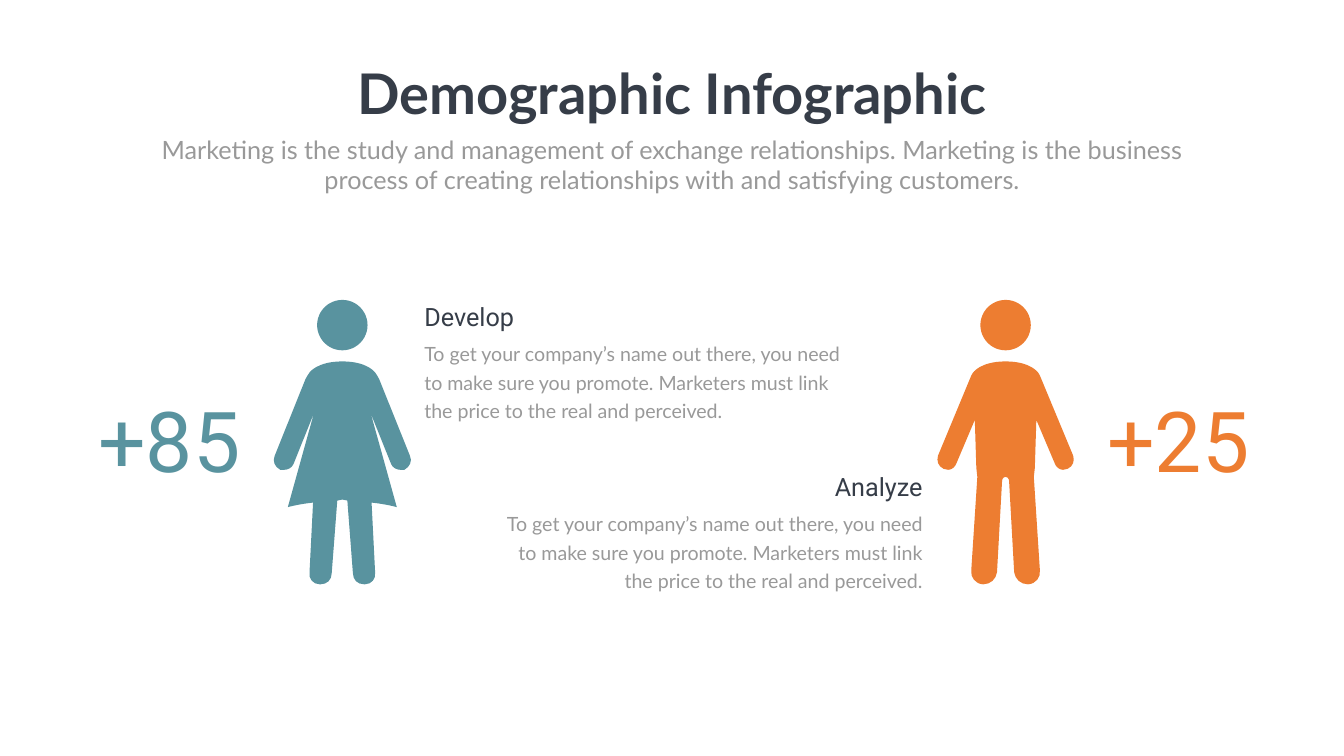
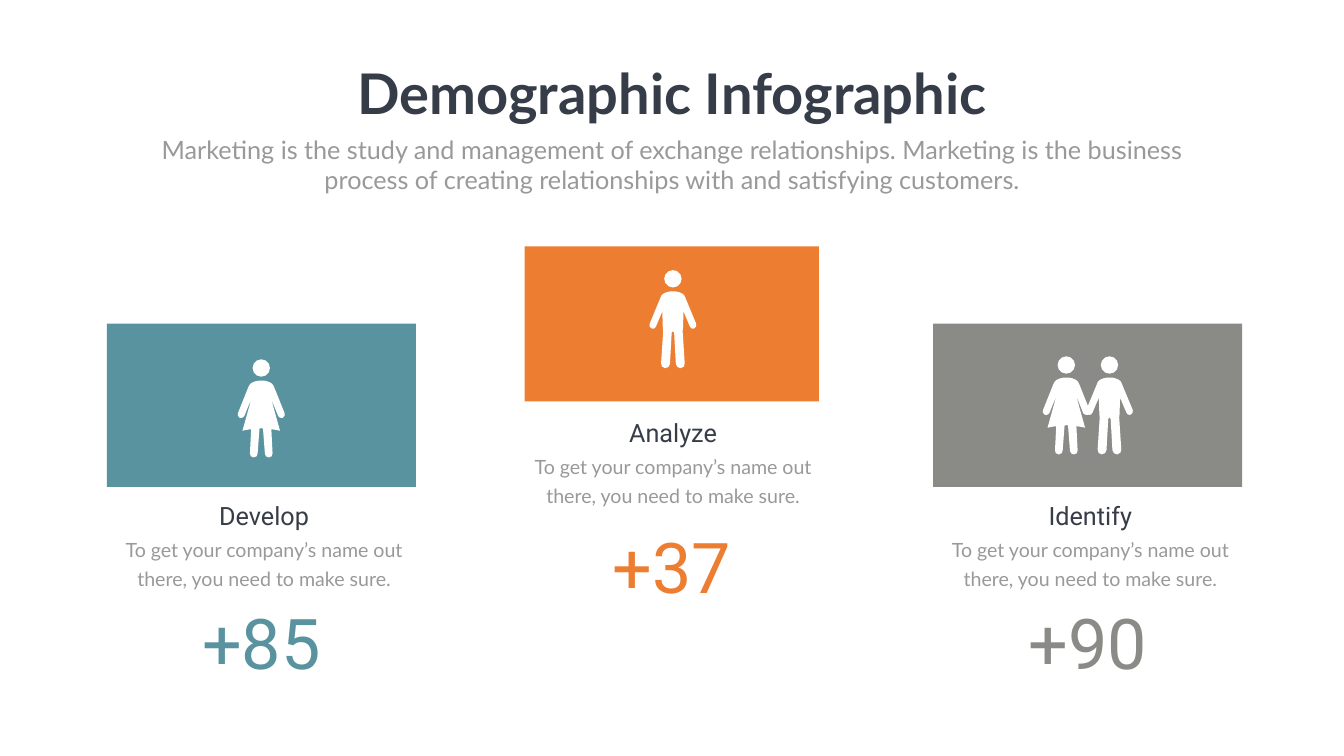
from dataclasses import dataclass
from typing import Optional

from lxml import etree
from pptx import Presentation
from pptx.dml.color import RGBColor
from pptx.enum import shapes, text
from pptx.oxml.ns import qn
from pptx.util import Emu, Inches, Pt

COLORS = {
    "dark": "363D48", "grey": "999999", "white": "FFFFFF",
    "teal": "59939F", "orange": "ED7D31", "stone": "8A8A86",
}
LEFT, CENTER, RIGHT = text.PP_ALIGN.LEFT, text.PP_ALIGN.CENTER, text.PP_ALIGN.RIGHT
WIDTH, HEIGHT = Inches(26.66), Inches(15)
HEADING_HEIGHT = 4.73
NUMBER_WIDTH = 11.97

TITLE = "Demographic Infographic"
SUBTITLE = ("Marketing is the study and management of exchange relationships. "
            "Marketing is the business process of creating relationships with "
            "and satisfying customers.")
LONG_BODY = ("To get your company’s name out there, you need to make sure you promote. "
             "Marketers must link the price to the real and perceived.")
SHORT_BODY = "To get your company’s name out there, you need to make sure."

# Half outlines from neck to crotch, measured in head sizes from the top of the head.
# Two numbers are a corner, six are a Bézier curve.
MAN = [
    (0, 1.22), (0.51, 1.22, 0.65, 1.45, 0.65, 1.45), (0.67, 1.46, 0.68, 1.48, 0.68, 1.5),
    (1.34, 3.09), (1.37, 3.19, 1.34, 3.3, 1.23, 3.35), (1.2, 3.35, 1.18, 3.37, 1.14, 3.37),
    (1.07, 3.37, 1, 3.32, 0.97, 3.23), (0.61, 2.38), (0.58, 3.33), (0.56, 3.51),
    (0.68, 5.36), (0.7, 5.5, 0.6, 5.63, 0.45, 5.64), (0.44, 5.64),
    (0.3, 5.64, 0.19, 5.54, 0.17, 5.4), (0.07, 3.6), (0.07, 3.6, 0.07, 3.51, 0, 3.51),
]
WOMAN = [
    (0, 1.22), (0.5, 1.22, 0.65, 1.44, 0.65, 1.44), (0.69, 1.5), (0.73, 1.57),
    (1.34, 3.09), (1.39, 3.2, 1.34, 3.31, 1.23, 3.37), (1.15, 3.37),
    (1.08, 3.37, 1, 3.33, 0.97, 3.26), (0.58, 2.29), (0.58, 2.31),
    (1.08, 4.11), (1.08, 4.11, 0.87, 4.05, 0.58, 4.02),
    (0.65, 5.4), (0.67, 5.53, 0.58, 5.64, 0.45, 5.64), (0.43, 5.64),
    (0.3, 5.64, 0.21, 5.55, 0.21, 5.42), (0.1, 3.98), (0.06, 3.98, 0.04, 3.96, 0, 3.96),
]


# Positions and lengths are percentages of the slide's width and height.
@dataclass
class Person:
    outline: list
    center: float
    top: float
    head: float = 2.3


@dataclass
class Profile:
    heading: str
    number: str
    color: str
    person: Person
    align: text.PP_ALIGN
    heading_left: float
    body_left: float
    body_width: float
    top: float
    number_left: float


@dataclass
class Card:
    heading: str
    number: str
    color: str
    people: list[Person]
    left: float
    top: float
    width: float
    height: float
    heading_top: float
    number_top: float
    text_shift: float = 0.2

    @property
    def center(self) -> float:
        return self.left + self.width / 2


PROFILES = [
    Profile("Develop", "+85", "teal", Person(WOMAN, 25.47, 39.67, 6.67), LEFT,
            31.2, 31.2, 31.92, 39.53, 6.94),
    Profile("Analyze", "+25", "orange", Person(MAN, 74.82, 39.67, 6.67), RIGHT,
            50.07, 37.24, 31.77, 62, 81.35),
]
CARDS = [
    Card("Develop", "+85", "teal", [Person(WOMAN, 19.44, 47.53)],
         7.95, 42.82, 22.99, 21.58, 65.87, 79),
    Card("Analyze", "+37", "orange", [Person(MAN, 50.07, 35.73)],
         39.03, 32.6, 21.89, 20.48, 54.87, 68.87, text_shift=0.1),
    Card("Identify", "+90", "stone", [Person(MAN, 82.55, 47.13), Person(WOMAN, 79.34, 47.13)],
         69.43, 42.82, 22.99, 21.58, 65.87, 79),
]


def across(share: float) -> Emu:
    return Emu(round(WIDTH * share / 100))


def down(share: float) -> Emu:
    return Emu(round(HEIGHT * share / 100))


def paint(shape, color: str) -> None:
    shape.shadow.inherit = False
    shape.fill.solid()
    shape.fill.fore_color.rgb = RGBColor.from_string(COLORS[color])
    shape.line.fill.background()


def write(slide, words: str, left: float, top: float, width: float, height: float, *,
          size: float, color: str, font: str = "Lato", align: text.PP_ALIGN = CENTER,
          bold: bool = False, wrap: bool = True, spacing: Optional[float] = None) -> None:
    box = slide.shapes.add_textbox(across(left), down(top), across(width), down(height))
    frame = box.text_frame
    frame.word_wrap = wrap
    frame.auto_size = text.MSO_AUTO_SIZE.SHAPE_TO_FIT_TEXT
    paragraph = frame.paragraphs[0]
    paragraph.alignment = align
    if spacing:
        paragraph.line_spacing = Pt(spacing)
    run = paragraph.add_run()
    run.text = words
    run.font.name, run.font.size, run.font.bold = font, Pt(size), bold
    run.font.color.rgb = RGBColor.from_string(COLORS[color])


def write_heading(slide, words: str, left: float, top: float, width: float,
                  align: text.PP_ALIGN = CENTER) -> None:
    write(slide, words, left, top, width, HEADING_HEIGHT,
          size=36, color="dark", font="Roboto", align=align)


def write_body(slide, words: str, left: float, top: float, width: float, height: float,
               align: text.PP_ALIGN = CENTER) -> None:
    write(slide, words, left, top, width, height,
          size=28, color="grey", align=align, spacing=40.8)


def mirror(outline: list) -> list[list[tuple[float, float]]]:
    """Complete a half outline; each part lists its control points and its end."""
    half = [list(zip(part[::2], part[1::2])) for part in outline]
    going = [[(-x, y) for x, y in part] for part in half]
    returning = [part[-2::-1] + [before[-1]] for before, part in zip(half, half[1:])]
    return going + returning[::-1]


def bend(shape, parts: list[list[tuple[int, int]]]) -> None:
    """Turn the straight segments that have control points into curves."""
    for line, part in zip(list(shape._element.iter(qn("a:lnTo"))), parts):
        if len(part) == 3:
            curve = etree.Element(qn("a:cubicBezTo"))
            for x, y in part:
                etree.SubElement(curve, qn("a:pt"), x=str(x - shape.left), y=str(y - shape.top))
            line.getparent().replace(line, curve)


def draw_person(slide, person: Person, color: str) -> None:
    center, top, head = across(person.center), down(person.top), down(person.head)
    parts = [[(round(center + x * head), round(top + y * head)) for x, y in part]
             for part in mirror(person.outline)]
    ends = [part[-1] for part in parts]
    builder = slide.shapes.build_freeform(*ends[0], scale=1.0)
    builder.add_line_segments(ends[1:], close=True)
    body = builder.convert_to_shape()
    bend(body, parts[1:])
    paint(body, color)
    paint(slide.shapes.add_shape(shapes.MSO_SHAPE.OVAL, center - head // 2, top, head, head),
          color)


def draw_profile(slide, profile: Profile) -> None:
    draw_person(slide, profile.person, profile.color)
    write_body(slide, LONG_BODY, profile.body_left, profile.top + HEADING_HEIGHT,
               profile.body_width, 11.8, profile.align)
    write_heading(slide, profile.heading, profile.heading_left, profile.top, 18.94,
                  profile.align)
    write(slide, profile.number, profile.number_left, 51, NUMBER_WIDTH, 14.13,
          size=120, color=profile.color, font="Roboto", align=profile.align)


def draw_card(slide, card: Card) -> None:
    panel = slide.shapes.add_shape(shapes.MSO_SHAPE.RECTANGLE, across(card.left),
                                   down(card.top), across(card.width), down(card.height))
    paint(panel, card.color)
    for person in card.people:
        draw_person(slide, person, "white")
    middle = card.center + card.text_shift
    heading_width, body_width = 16.47, 21.79
    write_body(slide, SHORT_BODY, middle - body_width / 2, card.heading_top + 4.33,
               body_width, 7.93)
    write_heading(slide, card.heading, middle - heading_width / 2, card.heading_top,
                  heading_width)
    write(slide, card.number, card.center - NUMBER_WIDTH / 2, card.number_top,
          NUMBER_WIDTH, 11.87, size=100, color=card.color, font="Roboto")


def add_titled_slide(deck):
    slide = deck.slides.add_slide(deck.slide_layouts[6])
    write(slide, TITLE, 25.75, 7.47, 48.5, 9.67, size=80, color="dark", bold=True, wrap=False)
    write(slide, SUBTITLE, 10.95, 17.4, 78.1, 8.73, size=36, color="grey")
    return slide


def main() -> None:
    deck = Presentation()
    deck.slide_width, deck.slide_height = WIDTH, HEIGHT

    # Two profiles facing each other
    comparison = add_titled_slide(deck)
    for profile in PROFILES:
        draw_profile(comparison, profile)

    # Three cards
    overview = add_titled_slide(deck)
    for card in CARDS:
        draw_card(overview, card)

    deck.save("out.pptx")


if __name__ == "__main__":
    main()
